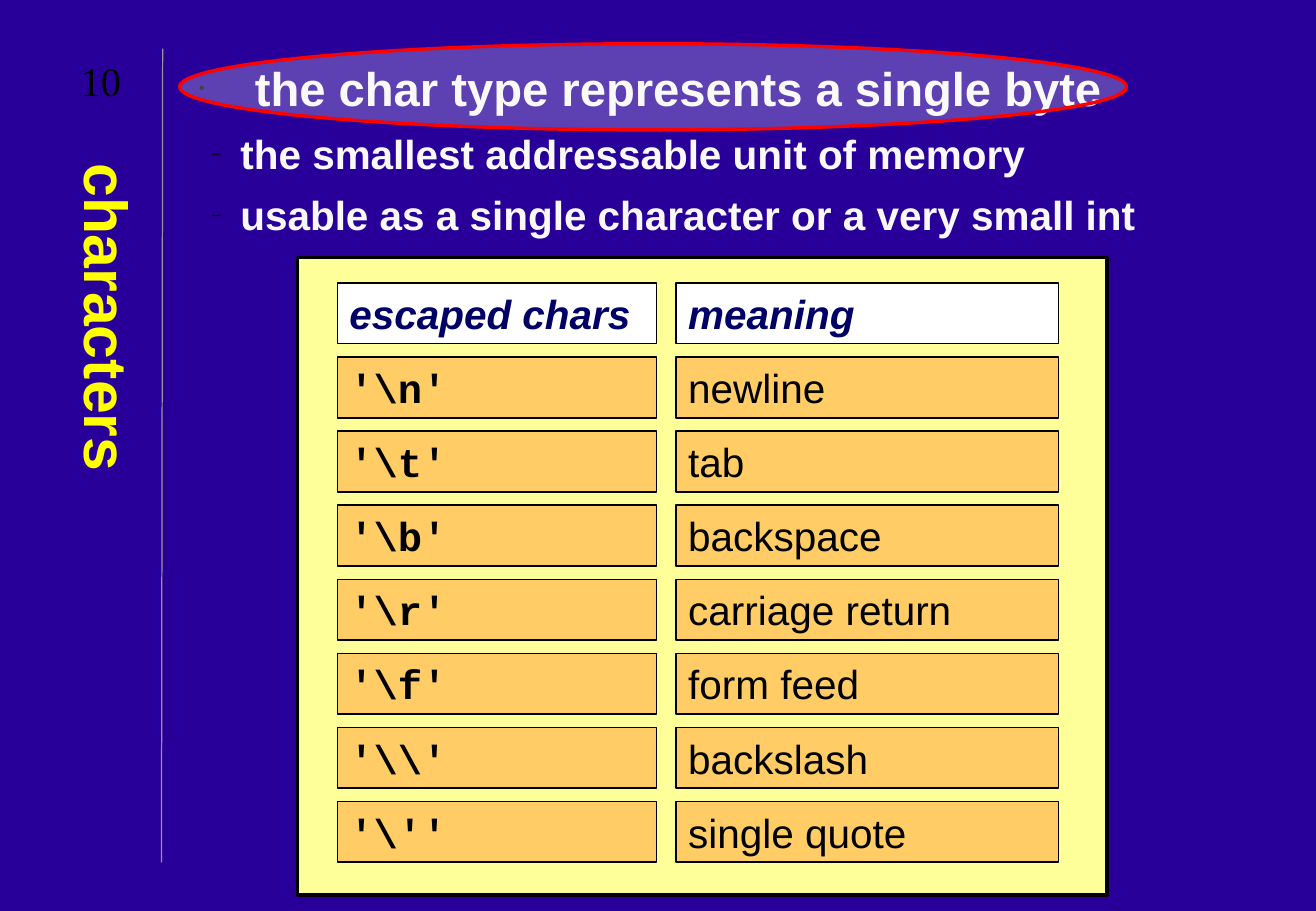
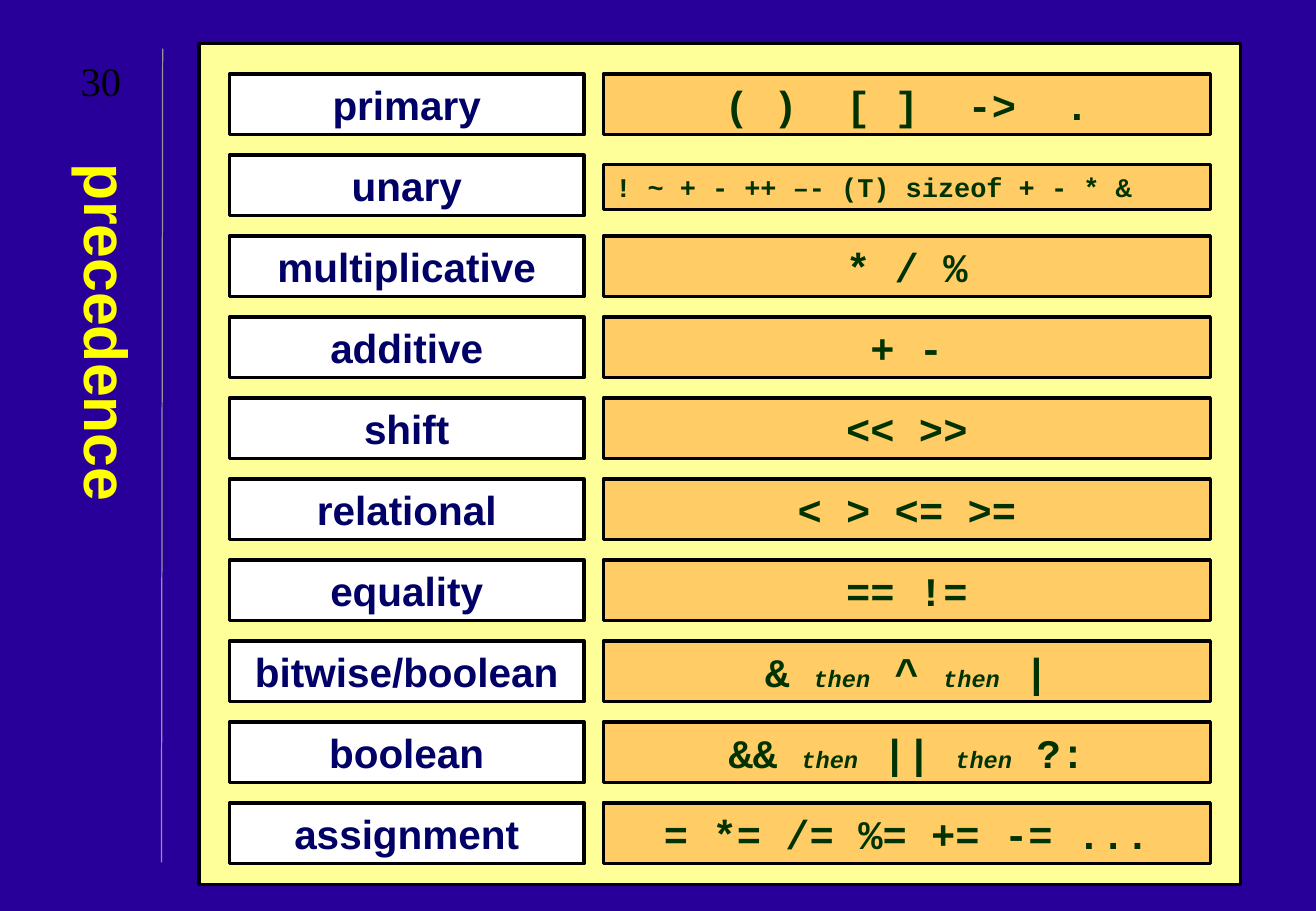
import dataclasses
import pptx
import pptx.dml.color
import pptx.enum.shapes
import pptx.enum.text
import pptx.oxml
import pptx.oxml.ns
import pptx.util

WIDTH, HEIGHT = 10.84, 7.5
NAVY, YELLOW, CREAM, ORANGE = "280099", "FFFF00", "FFFF99", "FFCC66"
WHITE, OFF_WHITE, BLACK, RED, GREY = "FFFFFF", "F8F8F8", "000000", "FF0000", "969696"
INK_BLUE, INK_GREEN = "000066", "003300"
TITLE_LAYOUT, BODY_LAYOUT = 5, 1
COLUMN_GAP, ROW_HEIGHT = 0.16, 0.5
SHAPES = pptx.enum.shapes.MSO_SHAPE
ANCHOR = pptx.enum.text.MSO_ANCHOR
ALIGN = pptx.enum.text.PP_ALIGN


@dataclasses.dataclass(frozen=True)
class TextStyle:
    """Font settings of a run."""
    color: str
    size: float = 24
    name: str = "Arial"
    bold: bool = False
    italic: bool = False


TITLE = TextStyle(YELLOW, 36, bold=True)
NUMBER = TextStyle(BLACK, name="Times New Roman")
POINT = TextStyle(OFF_WHITE, 28, bold=True)
SUBPOINT = TextStyle(OFF_WHITE, bold=True)
HEADING = TextStyle(INK_BLUE, bold=True, italic=True)
ESCAPE = TextStyle(BLACK, name="Courier New", bold=True)
MEANING = TextStyle(BLACK)
CATEGORY = TextStyle(INK_BLUE, bold=True)
OPERATOR = TextStyle(INK_GREEN, name="Courier New", bold=True)
SMALL_OPERATOR = dataclasses.replace(OPERATOR, size=16)
THEN = dataclasses.replace(OPERATOR, size=14, italic=True)

ESCAPES = [
    (r"'\n'", "newline"), (r"'\t'", "tab"), (r"'\b'", "backspace"),
    (r"'\r'", "carriage return"), (r"'\f'", "form feed"),
    (r"'\\'", "backslash"), (r"'\''", "single quote"),
]
UNARY = "unary"
PRECEDENCE = [
    ("primary", ["( )  [ ]  ->  ."]),
    (UNARY, ["! ~ + - ++ –- (T) sizeof + - * &"]),
    ("multiplicative", ["* / %"]),
    ("additive", ["+ -"]),
    ("shift", ["<< >>"]),
    ("relational", ["< > <= >="]),
    ("equality", ["== !="]),
    ("bitwise/boolean", ["& ", "then", " ^ ", "then", " |"]),
    ("boolean", ["&& ", "then", " || ", "then", " ?:"]),
    ("assignment", ["= *= /= %= += -= ..."]),
]


def rgb(value):
    """Return the colour of a hex string."""
    return pptx.dml.color.RGBColor.from_string(value)


def inches(*values):
    """Return lengths in inches as a list."""
    return [pptx.util.Inches(v) for v in values]


def style_run(r, style):
    """Apply a text style to a run."""
    r.font.name, r.font.size = style.name, pptx.util.Pt(style.size)
    r.font.bold, r.font.italic = style.bold, style.italic
    r.font.color.rgb = rgb(style.color)


def set_frame(tf, anchor=ANCHOR.TOP, insets=(0.1, 0.05)):
    """Set wrapping, anchor and the side and end insets of a text frame."""
    tf.word_wrap, tf.auto_size = True, pptx.enum.text.MSO_AUTO_SIZE.NONE
    tf.vertical_anchor = anchor
    tf.margin_left = tf.margin_right = pptx.util.Inches(insets[0])
    tf.margin_top = tf.margin_bottom = pptx.util.Inches(insets[1])


def write(tf, pieces, styles, align):
    """Write one paragraph of runs, cycling through the styles."""
    p = tf.paragraphs[0]
    p.alignment = align
    for i, piece in enumerate(pieces):
        r = p.add_run()
        r.text = piece
        style_run(r, styles[i % len(styles)])


def place(sp, box):
    """Move a shape to a box of left, top, width and height."""
    sp.left, sp.top, sp.width, sp.height = inches(*box)


def add_outlined(slide, kind, box, fill, line=BLACK, weight=2):
    """Add a filled and outlined preset shape."""
    sp = slide.shapes.add_shape(kind, *inches(*box))
    sp.shadow.inherit = False
    sp.fill.solid()
    sp.fill.fore_color.rgb = rgb(fill)
    sp.line.color.rgb = rgb(line)
    sp.line.width = pptx.util.Pt(weight)
    return sp


def add_cell(slide, box, fill, weight, pieces, styles, align):
    """Add one boxed text of a panel."""
    sp = add_outlined(slide, SHAPES.RECTANGLE, box, fill, weight=weight)
    set_frame(sp.text_frame)
    write(sp.text_frame, pieces, styles, align)


def panel_grid(slide, box, pad, widths, pitch, count):
    """Draw a panel and return the pairs of cell boxes inside it."""
    add_outlined(slide, SHAPES.RECTANGLE, box, CREAM)
    left, top = box[0] + pad[0], box[1] + pad[1]
    right = left + widths[0] + COLUMN_GAP
    return [[(x, top + i * pitch, w, ROW_HEIGHT)
             for x, w in zip((left, right), widths)] for i in range(count)]


def new_slide(prs, layout, title, number):
    """Add a slide with the vertical title, the rule and the number."""
    slide = prs.slides.add_slide(prs.slide_layouts[layout])
    sp = slide.shapes.title
    place(sp, (0.33, 1.25, 0.92, 5.83))
    tf = sp.text_frame
    set_frame(tf, insets=(0.05, 0.1))
    tf._txBody.bodyPr.set("vert", "eaVert")
    write(tf, [title], [TITLE], ALIGN.CENTER)

    rule = slide.shapes.add_connector(
        pptx.enum.shapes.MSO_CONNECTOR.STRAIGHT, *inches(1.33, 7.1, 1.34, 0.4))
    rule.line.color.rgb = rgb(GREY)
    rule.line.width = pptx.util.Pt(0.75)
    rule.element.spPr.append(pptx.oxml.parse_xml(
        f"<a:effectLst {pptx.oxml.ns.nsdecls('a')}/>"))

    tf = slide.shapes.add_textbox(*inches(0.42, 0.41, 0.82, 0.5)).text_frame
    set_frame(tf, ANCHOR.MIDDLE)
    write(tf, [number], [NUMBER], ALIGN.CENTER)
    return slide


def set_bullet(p, char, percent, margin, hang):
    """Give a paragraph a black bullet and a hanging indent in inches."""
    pPr = p._p.get_or_add_pPr()
    pPr.set("marL", str(pptx.util.Inches(margin)))
    pPr.set("indent", str(-pptx.util.Inches(hang)))
    ns = pptx.oxml.ns.nsdecls("a")
    for xml in (f'<a:buClr {ns}><a:srgbClr val="{BLACK}"/></a:buClr>',
                f'<a:buSzPct {ns} val="{percent * 1000}"/>',
                f'<a:buChar {ns} char="{char}"/>'):
        pPr.append(pptx.oxml.parse_xml(xml))


def fill_body(sp, box, point, subpoints):
    """Fill the body placeholder with a point and its subpoints."""
    place(sp, box)
    tf = sp.text_frame
    set_frame(tf)
    tf.text = "\n".join([point, *subpoints])
    for i, p in enumerate(tf.paragraphs):
        p.alignment = ALIGN.LEFT
        if i:
            p.level = 1
            set_bullet(p, "–", 37, 0.46, 0.23)
        else:
            set_bullet(p, "•", 32, 0.58, 0.46)
        p.space_before = pptx.util.Pt(7.5 if i else 0)
        style_run(p.runs[0], SUBPOINT if i else POINT)


def add_highlight(slide, box):
    """Add a translucent ellipse with a red outline."""
    sp = add_outlined(slide, SHAPES.OVAL, box, WHITE, RED)
    color = sp.element.spPr.find(".//" + pptx.oxml.ns.qn("a:srgbClr"))
    color.append(pptx.oxml.parse_xml(
        f'<a:alpha {pptx.oxml.ns.nsdecls("a")} val="25000"/>'))


def characters_slide(prs):
    """Build the slide on the char type and its escapes."""
    slide = new_slide(prs, BODY_LAYOUT, "characters", "10")
    fill_body(slide.placeholders[1], (1.42, 0.44, 8.92, 6.67),
              "the char type represents a single byte",
              ["the smallest addressable unit of memory",
               "usable as a single character or a very small int"])
    rows = [("escaped chars", "meaning"), *ESCAPES]
    grid = panel_grid(slide, (2.45, 2.12, 6.67, 5.25), (0.33, 0.21),
                      (2.63, 3.15), 0.61, len(rows))
    for i, (boxes, texts) in enumerate(zip(grid, rows)):
        styles = (ESCAPE, MEANING) if i else (HEADING, HEADING)
        for box, text, style in zip(boxes, texts, styles):
            add_cell(slide, box, ORANGE if i else WHITE, 1, [text], [style], ALIGN.LEFT)
    add_highlight(slide, (1.48, 0.36, 7.8, 0.71))


def precedence_slide(prs):
    """Build the slide on operator precedence."""
    slide = new_slide(prs, TITLE_LAYOUT, "precedence", "30")
    grid = panel_grid(slide, (1.64, 0.36, 8.58, 6.92), (0.25, 0.25),
                      (2.92, 5), 6 / 9, len(PRECEDENCE))
    for (left, right), (category, pieces) in zip(grid, PRECEDENCE):
        add_cell(slide, left, WHITE, 2, [category], [CATEGORY], ALIGN.CENTER)
        styles, align = [OPERATOR, THEN], ALIGN.CENTER
        if category == UNARY:
            x, y, w, h = right
            right = (x, y + 0.08, w, h - 0.13)
            styles, align = [SMALL_OPERATOR], ALIGN.LEFT
        add_cell(slide, right, ORANGE, 2, pieces, styles, align)


def main():
    """Build and save the presentation."""
    prs = pptx.Presentation()
    prs.slide_width, prs.slide_height = inches(WIDTH, HEIGHT)
    fill = prs.slide_master.background.fill
    fill.solid()
    fill.fore_color.rgb = rgb(NAVY)
    characters_slide(prs)
    precedence_slide(prs)
    prs.save("out.pptx")


if __name__ == "__main__":
    main()
